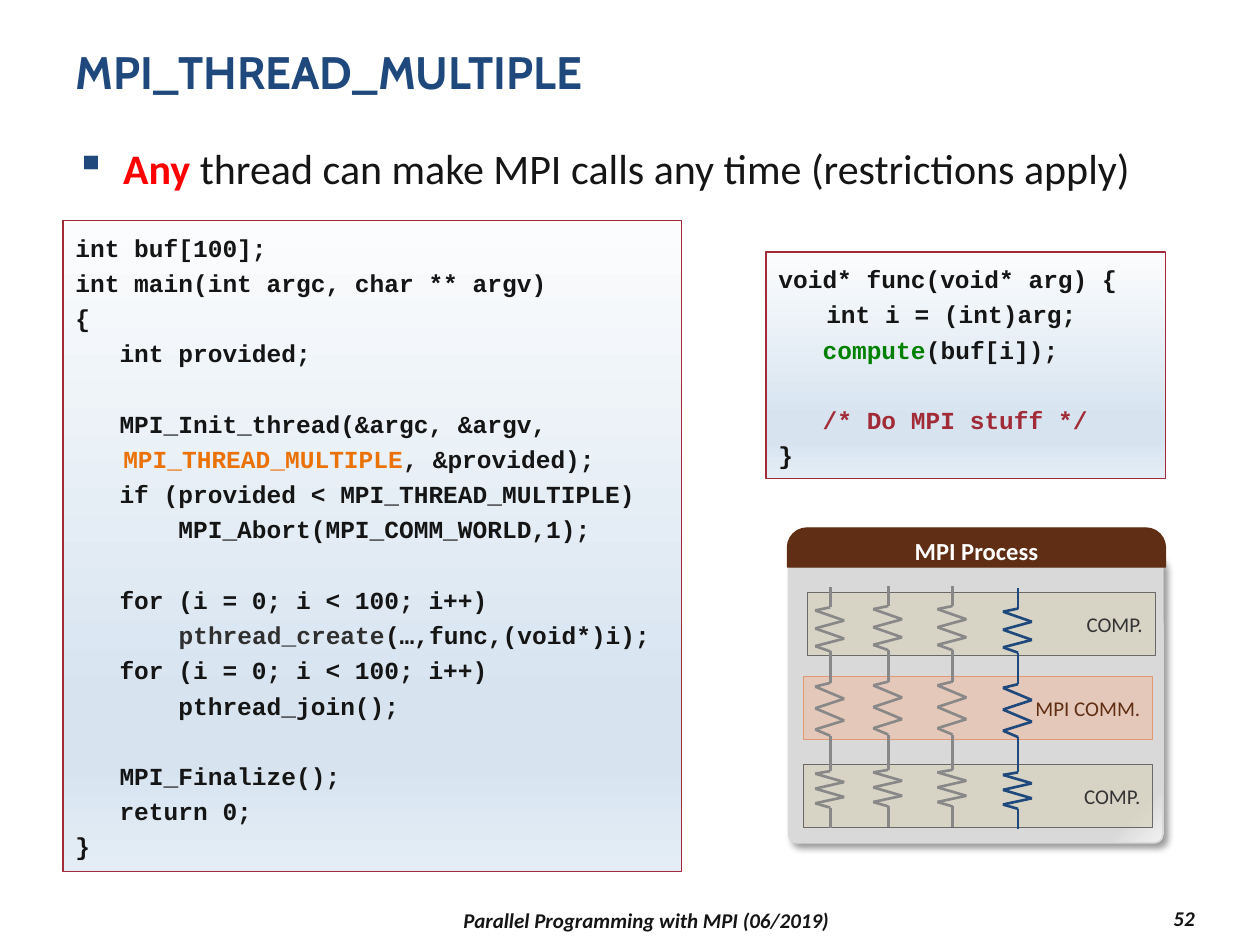
from itertools import pairwise

from pptx import Presentation, util as u
from pptx.dml.color import RGBColor
from pptx.enum import shapes, text
from pptx.oxml import parse_xml
from pptx.oxml.ns import nsdecls, qn

NAVY = RGBColor(0x1F, 0x49, 0x7D)
INK = RGBColor(0x15, 0x15, 0x15)
RED = RGBColor(0xFF, 0x00, 0x00)
WINE = RGBColor(0xA2, 0x2B, 0x38)
ORANGE = RGBColor(0xEA, 0x72, 0x07)
GREEN = RGBColor(0x00, 0x80, 0x00)
COAL = RGBColor(0x30, 0x30, 0x30)
BROWN = RGBColor(0x60, 0x2E, 0x14)
WHITE = RGBColor(0xFF, 0xFF, 0xFF)
SILVER = RGBColor(0xD9, 0xD9, 0xD9)
PEARL = RGBColor(0xF2, 0xF2, 0xF2)
GREY = RGBColor(0x88, 0x88, 0x88)
STONE = RGBColor(0x69, 0x69, 0x69)
DARK = RGBColor(0x34, 0x34, 0x34)
SAND = RGBColor(0xD6, 0xD1, 0xB8)
PEACH = RGBColor(0xEC, 0xBC, 0xA3)
CORAL = RGBColor(0xE2, 0x9A, 0x75)
SKY = [(0, RGBColor(0xFB, 0xFC, 0xFD)), (74, RGBColor(0xD7, 0xE4, 0xF0)),
       (83, RGBColor(0xD7, 0xE4, 0xF0)), (100, RGBColor(0xE4, 0xED, 0xF5))]
FOLD = [(0, SILVER), (91, SILVER), (100, PEARL)]

COLS, ROWS = 100, 75
CELL = u.Inches(0.1)
LEFT, MID, RIGHT = text.PP_ALIGN.LEFT, text.PP_ALIGN.CENTER, text.PP_ALIGN.RIGHT
TOP, HALF = text.MSO_ANCHOR.TOP, text.MSO_ANCHOR.MIDDLE
KIND = shapes.MSO_SHAPE

MAIN = [
    "int buf[100];",
    "int main(int argc, char ** argv)",
    "{",
    "   int provided;",
    "",
    [("   MPI_Init_thread(&argc, &argv, ", INK), ("MPI_THREAD_MULTIPLE", ORANGE),
     (", &provided);", INK)],
    "   if (provided < MPI_THREAD_MULTIPLE)",
    "       MPI_Abort(MPI_COMM_WORLD,1);",
    "",
    "   for (i = 0; i < 100; i++)",
    [("       ", RED), ("pthread_create", COAL), ("(…,func,(void*)i);", INK)],
    "   for (i = 0; i < 100; i++)",
    "       pthread_join();",
    "",
    "   MPI_Finalize();",
    "   return 0;",
    "}",
]
FUNC = [
    "void* func(void* arg) {",
    "\tint i = (int)arg;",
    [("   ", INK), ("compute", GREEN), ("(buf[i]);", INK)],
    "",
    [("   ", INK), ("/* Do MPI stuff */", WINE)],
    "}",
]
BANDS = [((1.6, 5.1, 27.6, 5), "COMP.", SAND, STONE, DARK),
         ((1.3, 18.8, 27.7, 5), "COMP.", SAND, STONE, DARK),
         ((1.3, 11.8, 27.7, 5), "MPI COMM.", PEACH, CORAL, BROWN)]
THREADS = [(3.4, 0.1, GREY), (8, 0, GREY), (13.1, 0, GREY), (18.3, 0.2, NAVY)]
PHASES = [(4.6, 6.2, 9.7, 10.8), (9.9, 12.2, 16.4, 18.7), (17.8, 19.2, 22.1, 23.7)]
COIL = [(0, 0), (-1.2, 0.07), (1.1, 0.3), (-1.2, 0.48), (1.1, 0.71), (-1.2, 0.88), (0, 1)]


def grid(*cells):
    """Turn grid cells into lengths."""
    return [int(c * CELL) for c in cells]


def inner(box, part):
    """Place a part relative to the corner of a box."""
    return box[0] + part[0], box[1] + part[1], *part[2:]


def add_run(para, words, size, color, font="Calibri", bold=False, slant=False):
    """Add one styled run."""
    run = para.add_run()
    run.text = words
    face = run.font
    face.name, face.size, face.bold, face.italic = font, u.Pt(size), bold, slant
    face.color.rgb = color


def first(frame, align, anchor):
    """Set up a text frame and return its first paragraph."""
    frame.word_wrap = True
    frame.vertical_anchor = anchor
    frame.paragraphs[0].alignment = align
    return frame.paragraphs[0]


def label(slide, box, align=LEFT, anchor=TOP):
    """Add a text box and return its first paragraph."""
    return first(slide.shapes.add_textbox(*grid(*box)).text_frame, align, anchor)


def hang(para):
    """Give a paragraph a hanging indent and wide lines."""
    props = para._p.get_or_add_pPr()
    props.set("marL", str(u.Inches(0.38)))
    props.set("indent", str(-u.Inches(0.38)))
    para.line_spacing = 1.2
    return props


def block(home, kind, box, line, width, fill=None):
    """Add a flat shape with an outline."""
    shape = home.add_shape(kind, *grid(*box))
    shape.shadow.inherit = False
    shape.line.color.rgb = line
    shape.line.width = u.Pt(width)
    if fill is not None:
        shape.fill.solid()
        shape.fill.fore_color.rgb = fill
    return shape


def blend(shape, stops, angle):
    """Fill a shape with a gradient that runs clockwise by the angle."""
    shape.fill.gradient()
    shape.fill.gradient_angle = 360 - angle
    ramp = shape._element.spPr.find(qn("a:gradFill")).find(qn("a:gsLst"))
    for stop in list(ramp):
        ramp.remove(stop)
    for pos, color in stops:
        ramp.append(parse_xml(f'<a:gs {nsdecls("a")} pos="{pos * 1000}">'
                              f'<a:srgbClr val="{color}"/></a:gs>'))


def code(slide, box, lines):
    """Add a code panel, with blank lines as space before the next line."""
    panel = block(slide.shapes, KIND.RECTANGLE, box, WINE, 0.75)
    blend(panel, SKY, 90)
    para, gap = first(panel.text_frame, LEFT, TOP), 0
    for spot, line in enumerate(lines):
        if not line:
            gap = 20
            continue
        if spot:
            para = panel.text_frame.add_paragraph()
            para.alignment = LEFT
        hang(para)
        if gap:
            para.space_before, gap = u.Pt(gap), 0
        for words, color in [(line, INK)] if isinstance(line, str) else line:
            add_run(para, words, 14, color, "Courier New", True)


def spring(home, box, thread, phase):
    """Draw one thread as a coil between two straight leads."""
    (col, drop, color), (top, start, end, foot) = thread, phase
    coil = [(col + dx, start + share * (end - start)) for dx, share in COIL]
    dots = [inner(box, (x, y + drop)) for x, y in [(col, top), *coil, (col, foot)]]
    for a, b in pairwise(dots):
        line = home.add_connector(shapes.MSO_CONNECTOR.STRAIGHT, *grid(*a, *b))
        line.line.color.rgb = color
        line.line.width = u.Pt(1.5)
        line._element.spPr.append(parse_xml(f'<a:effectLst {nsdecls("a")}/>'))


def process(slide, box):
    """Draw the process card with its bands and threads."""
    home = slide.shapes.add_group_shape().shapes
    card = block(home, KIND.ROUNDED_RECTANGLE, inner(box, (0.1, 2.4, 29.7, 22.6)), SILVER, 1)
    card.adjustments[0] = 0.03
    blend(card, FOLD, 45)
    card._element.spPr.find(qn("a:effectLst")).append(parse_xml(
        f'<a:outerShdw {nsdecls("a")} blurRad="{u.Pt(4)}" dist="{u.Pt(3)}" dir="2700000" '
        'algn="tl" rotWithShape="0"><a:srgbClr val="000000"><a:alpha val="40000"/>'
        '</a:srgbClr></a:outerShdw>'))
    head = block(home, KIND.ROUND_2_SAME_RECTANGLE, inner(box, (0, 0, 30, 3.1)),
                 BROWN, 0.75, BROWN)
    head.adjustments[0], head.adjustments[1] = 0.5, 0
    add_run(first(head.text_frame, MID, HALF), "MPI Process", 14, WHITE, bold=True)
    for part, words, fill, line, color in BANDS:
        band = block(home, KIND.RECTANGLE, inner(box, part), line, 0.5, fill)
        tint = band._element.spPr.find(qn("a:solidFill"))[0]
        tint.append(parse_xml(f'<a:alpha {nsdecls("a")} val="58000"/>'))
        add_run(first(band.text_frame, RIGHT, HALF), words, 12, color)
    for phase in PHASES:
        for thread in THREADS:
            spring(home, box, thread, phase)


def title(slide, box):
    """Add the slide title."""
    add_run(label(slide, box), "MPI_THREAD_MULTIPLE", 26, NAVY, "Cabin", True)


def point(slide, box):
    """Add the bullet point."""
    para = label(slide, box)
    props = hang(para)
    props.append(parse_xml(f'<a:buClr {nsdecls("a")}><a:srgbClr val="{NAVY}"/></a:buClr>'))
    props.append(parse_xml(f'<a:buChar {nsdecls("a")} char="▪"/>'))
    add_run(para, "Any ", 24, RED, bold=True)
    add_run(para, "thread can make MPI calls any time (restrictions apply)", 24, INK)


def footer(slide, box):
    """Add the course name and the page number."""
    for part, words, align in [((0, 0.2, 59.2, 2.7), "Parallel Programming with MPI (06/2019)", MID),
                               ((63.3, 0, 10.8, 2.7), "52", RIGHT)]:
        add_run(label(slide, inner(box, part), align, HALF), words, 12, INK, bold=True, slant=True)


def main():
    """Build the slide and save it."""
    deck = Presentation()
    deck.slide_width, deck.slide_height = grid(COLS, ROWS)
    slide = deck.slides.add_slide(deck.slide_layouts[6])
    code(slide, (5, 17.5, 49.1, 51.7), MAIN)
    code(slide, (60.8, 20, 31.7, 18), FUNC)
    title(slide, (5, 3, 90, 8.7))
    point(slide, (5, 10, 90, 6.7))
    process(slide, (62.5, 41.9, 30, 25))
    footer(slide, (21.7, 71.5))
    deck.save("out.pptx")


if __name__ == "__main__":
    main()
